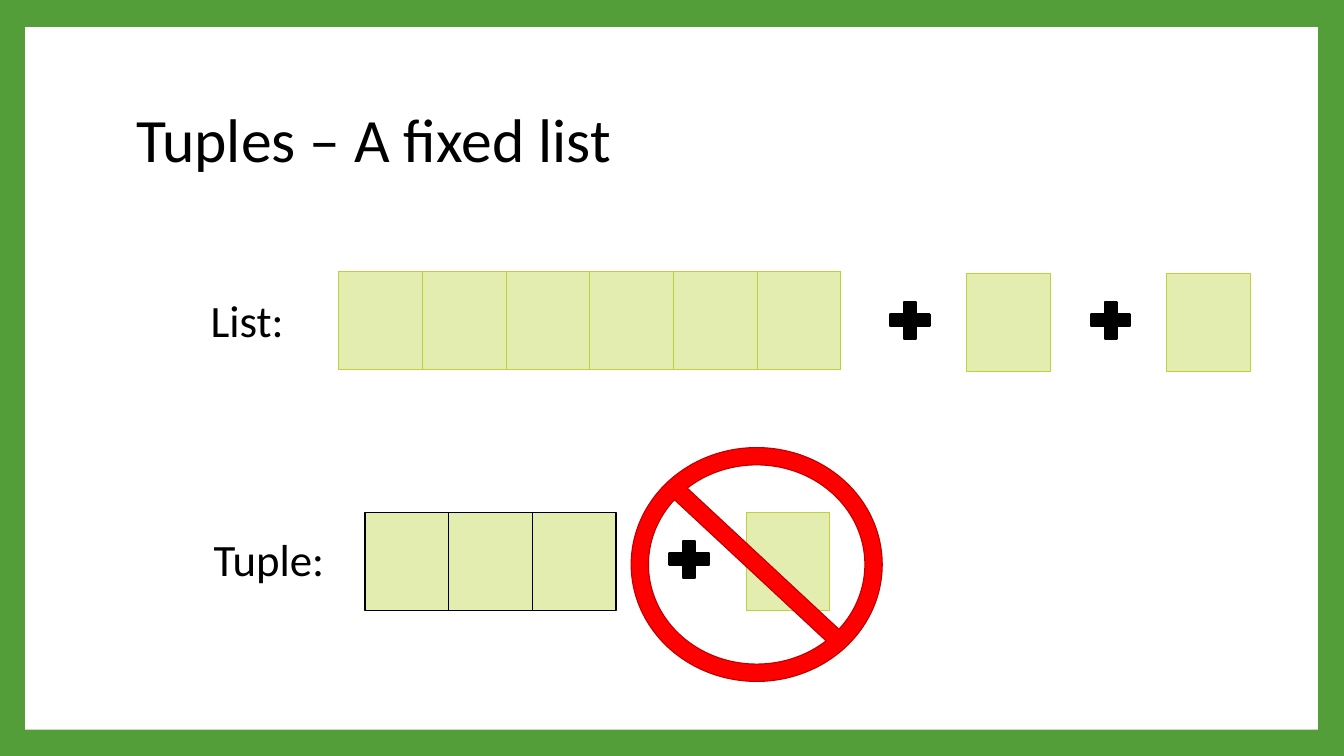
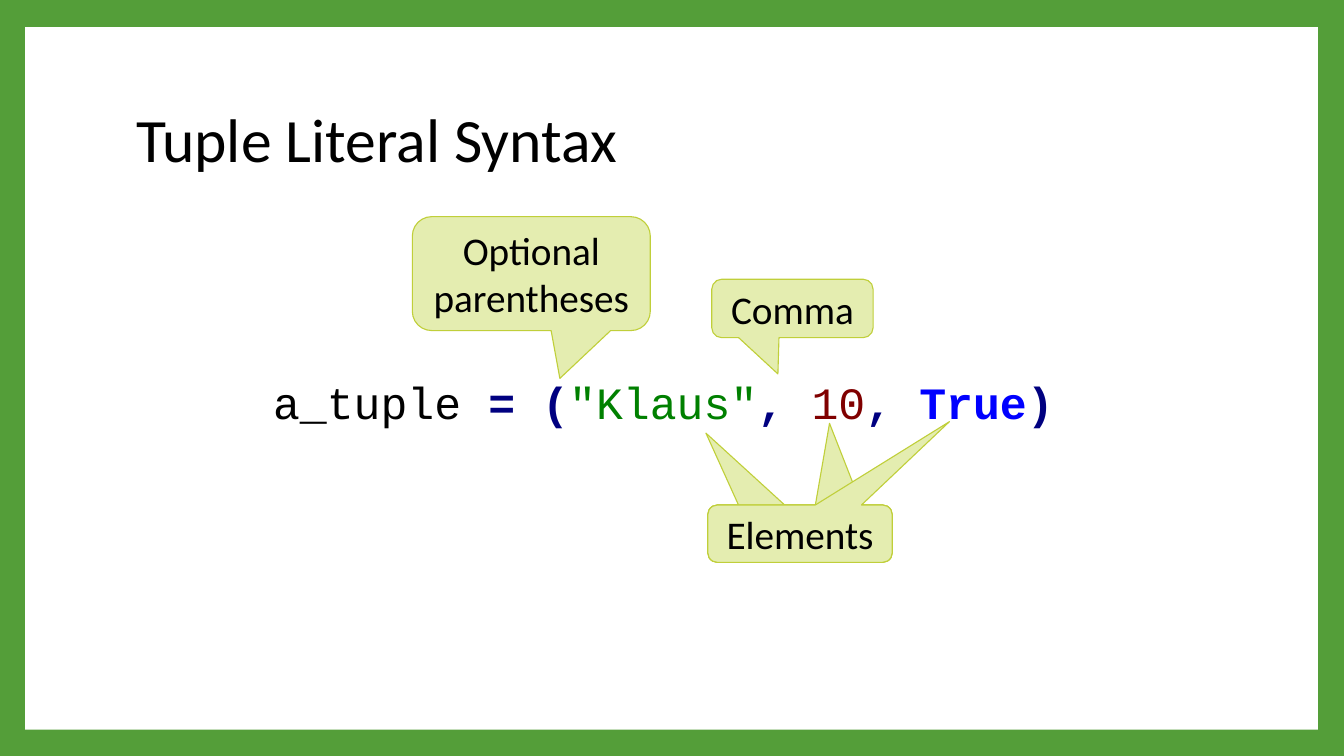
from pptx import Presentation
from pptx.dml.color import RGBColor
from pptx.enum.shapes import MSO_SHAPE
from pptx.enum.text import MSO_ANCHOR, MSO_AUTO_SIZE, PP_ALIGN
from pptx.util import Inches, Pt

BLACK, WHITE, RED, DARK_RED = "000000", "FFFFFF", "FF0000", "C00000"
FRAME, LIME, PALE_LIME = "549E39", "C0CF3A", "E4EDB0"
OPERATOR, STRING, NUMBER, KEYWORD = "000080", "008000", "800000", "0000FF"
THIN = 0.79
TITLE = {"name": "Calibri", "size": Pt(44), "bold": False}
LABEL = {"name": "Calibri", "size": Pt(32), "bold": False}
CALLOUT = {"name": "Calibri", "size": Pt(28), "bold": False}
CODE = {"name": "Courier New", "size": Pt(32), "bold": False}
CODE_BOLD = {**CODE, "bold": True}
CELL_WIDTH, CELL_HEIGHT = 0.83, 0.98


def rgb(value):
    """Turn a hex string into a colour."""
    return RGBColor.from_string(value)


def apply(target, values):
    """Set each named attribute on the target."""
    for name, value in values.items():
        setattr(target, name, value)


class Deck:
    """Holds the shared style and the current slide."""

    def __init__(self):
        """Set the page size and the frame colour."""
        self.presentation = Presentation()
        apply(self.presentation, {"slide_width": Inches(13.33), "slide_height": Inches(7.5)})
        self.master = self.presentation.slide_master
        background = self.master.background.fill
        background.solid()
        background.fore_color.rgb = rgb(FRAME)
        self.slide = None

    def add_slide(self, heading):
        """Start a slide with its title."""
        first = self.slide is None
        self.slide = self.presentation.slides.add_slide(self.presentation.slide_layouts[5])
        if first:
            self.frame()
        title = self.slide.shapes.title
        apply(title, {"left": Inches(1.25), "top": Inches(0.67),
                      "width": Inches(10.8), "height": Inches(1.48)})
        title.text_frame.vertical_anchor = MSO_ANCHOR.MIDDLE
        paragraph = title.text_frame.paragraphs[0]
        apply(paragraph, {"alignment": PP_ALIGN.LEFT, "line_spacing": 0.9})
        self.run(paragraph, heading, TITLE)

    def frame(self):
        """Put the white panel behind everything on the master."""
        panel = self.shape(MSO_SHAPE.RECTANGLE, 0.25, 0.27, 12.82, 6.97, WHITE).element
        panel.nvSpPr.cNvPr.set("id", "20")
        self.master.shapes.element.insert(2, panel)

    def run(self, paragraph, text, style, color=BLACK):
        """Add formatted text to a paragraph."""
        run = paragraph.add_run()
        run.text = text
        apply(run.font, style)
        run.font.color.rgb = rgb(color)

    def shape(self, kind, left, top, width, height, fill, line=None, weight=THIN, adjust=()):
        """Add a filled preset shape."""
        shape = self.slide.shapes.add_shape(
            kind, Inches(left), Inches(top), Inches(width), Inches(height))
        shape.shadow.inherit = False
        shape.fill.solid()
        shape.fill.fore_color.rgb = rgb(fill)
        if line:
            shape.line.color.rgb = rgb(line)
            shape.line.width = Pt(weight)
        else:
            shape.line.fill.background()
        for index, value in enumerate(adjust):
            shape.adjustments[index] = value
        return shape

    def cells(self, left, top, count=1, line=LIME):
        """Add a row of touching cells."""
        for index in range(count):
            self.shape(MSO_SHAPE.RECTANGLE, left + index * CELL_WIDTH, top,
                       CELL_WIDTH, CELL_HEIGHT, PALE_LIME, line)

    def plus(self, left, top):
        """Add a plus sign."""
        self.shape(MSO_SHAPE.MATH_PLUS, left, top, 0.53, 0.5, BLACK, BLACK, 1.5)

    def text(self, left, top, width, parts):
        """Add one unwrapped line made of (text, style, colour) parts."""
        box = self.slide.shapes.add_textbox(
            Inches(left), Inches(top), Inches(width), Inches(0.64))
        apply(box.text_frame, {"word_wrap": False, "auto_size": MSO_AUTO_SIZE.SHAPE_TO_FIT_TEXT})
        for part in parts:
            self.run(box.text_frame.paragraphs[0], *part)

    def callout(self, left, top, width, height, tip, caption=None):
        """Add a rounded callout pointing at the tip."""
        bubble = self.shape(MSO_SHAPE.ROUNDED_RECTANGULAR_CALLOUT, left, top, width, height,
                            PALE_LIME, LIME, adjust=(*tip, 0.17))
        if caption:
            apply(bubble.text_frame, {"word_wrap": True, "vertical_anchor": MSO_ANCHOR.MIDDLE})
            paragraph = bubble.text_frame.paragraphs[0]
            paragraph.alignment = PP_ALIGN.CENTER
            self.run(paragraph, caption, CALLOUT)


def fixed_list(deck):
    """Contrast a growing list with a fixed tuple."""
    deck.add_slide("Tuples – A fixed list")
    deck.text(1.99, 2.86, 1, [("List:", LABEL)])
    deck.cells(3.36, 2.69, 6)
    for plus_left, cell_left in ((8.76, 9.59), (10.75, 11.57)):
        deck.plus(plus_left, 2.93)
        deck.cells(cell_left, 2.71)
    deck.text(2.02, 5.23, 1.34, [("Tuple:", LABEL)])
    deck.cells(3.62, 5.08, 3, BLACK)
    deck.cells(7.4, 5.08)
    deck.plus(6.57, 5.3)
    deck.shape(MSO_SHAPE.NO_SYMBOL, 6.26, 4.44, 2.49, 2.32, RED, DARK_RED, adjust=(0.074,))


def literal_syntax(deck):
    """Explain the parts of a tuple literal."""
    deck.add_slide("Tuple Literal Syntax")
    comma = (", ", CODE_BOLD, OPERATOR)
    deck.text(2.61, 3.67, 8.03, [
        ("a_tuple ", CODE),
        ("= (", CODE_BOLD, OPERATOR),
        ('"Klaus"', CODE, STRING),
        comma,
        ("10", CODE, NUMBER),
        comma,
        ("True", CODE_BOLD, KEYWORD),
        (")", CODE_BOLD, OPERATOR),
    ])
    deck.callout(7.06, 2.77, 1.6, 0.58, (-0.09, 1.12), "Comma")
    deck.callout(4.09, 2.15, 2.36, 1.13, (0.12, 0.92), "Optional parentheses")
    for tip, caption in (((-0.51, -1.75), None), ((0.16, -1.92), None),
                         ((0.81, -1.95), "Elements")):
        deck.callout(7.02, 5.01, 1.83, 0.57, tip, caption)


def main():
    """Build and save the slides."""
    deck = Deck()
    fixed_list(deck)
    literal_syntax(deck)
    deck.presentation.save("out.pptx")


if __name__ == "__main__":
    main()
